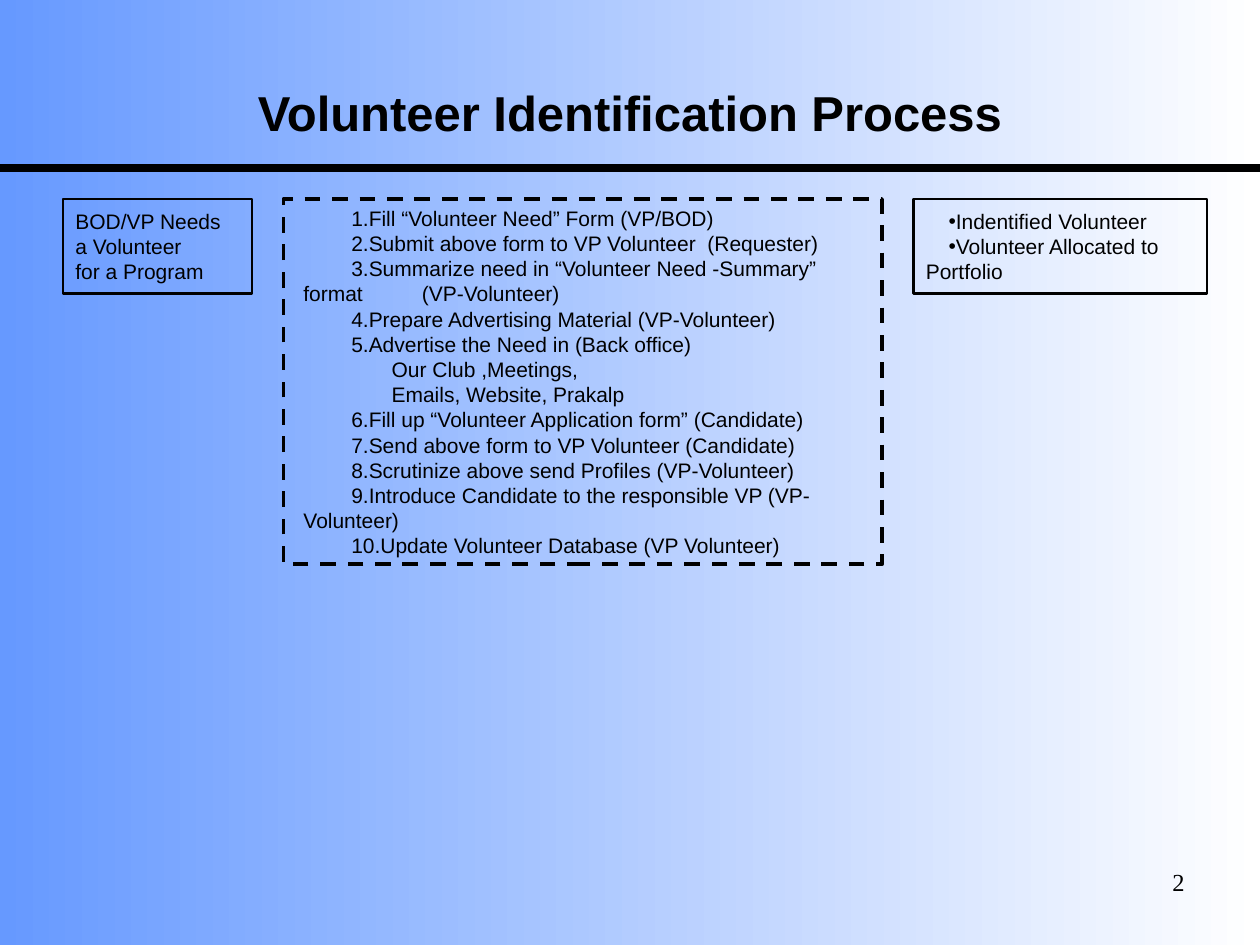
"""Build the Volunteer Identification Process slide."""
from lxml import etree
from pptx import Presentation
from pptx.dml.color import RGBColor
from pptx.enum.dml import MSO_LINE
from pptx.enum.shapes import MSO_CONNECTOR, MSO_SHAPE
from pptx.enum.text import MSO_ANCHOR, MSO_AUTO_SIZE, PP_ALIGN
from pptx.oxml.ns import qn
from pptx.util import Inches, Pt

DASH = MSO_LINE.DASH
TOP, MIDDLE = MSO_ANCHOR.TOP, MSO_ANCHOR.MIDDLE
CENTER, LEFT, RIGHT = PP_ALIGN.CENTER, PP_ALIGN.LEFT, PP_ALIGN.RIGHT
BLACK, WHITE, BLUE = "000000", "FFFFFF", "6699FF"

TITLE = "Volunteer Identification Process"
PAGE_NUMBER = "2"
NEED = [("plain", "BOD/VP Needs"), ("plain", "a Volunteer"), ("plain", "for a Program")]
RESULT = [("bullet", "Indentified Volunteer"), ("bullet", "Volunteer Allocated to"),
          ("plain", "Portfolio")]
STEPS = [
    ("number", "Fill “Volunteer Need” Form (VP/BOD)"),
    ("number", "Submit above form to VP Volunteer  (Requester)"),
    ("number", "Summarize need in “Volunteer Need -Summary” format \t(VP-Volunteer)"),
    ("number", "Prepare Advertising Material (VP-Volunteer)"),
    ("number", "Advertise the Need in (Back office)"),
    ("detail", "Our Club ,Meetings,"),
    ("detail", "Emails, Website, Prakalp"),
    ("number", "Fill up “Volunteer Application form” (Candidate)"),
    ("number", "Send above form to VP Volunteer (Candidate)"),
    ("number", "Scrutinize above send Profiles (VP-Volunteer)"),
    ("number", "Introduce Candidate to the responsible VP (VP-\tVolunteer)"),
    ("number", "Update Volunteer Database (VP Volunteer)"),
]
BOXES = [
    (NEED, (0.5, 1.58, 1.5, 0.75), 1.5, MIDDLE, False),
    (RESULT, (7.25, 1.58, 2.33, 0.75), 1.5, MIDDLE, False),
    (STEPS, (2.25, 1.58, 4.75, 2.9), 2.25, TOP, True),
]
STYLES = {
    "plain": (0, 0, 0, None, {}),
    "bullet": (0, 0, 0.18, "a:buChar", {"char": "•"}),
    "number": (0, 0.06, 0.38, "a:buAutoNum", {"type": "arabicPeriod"}),
    "detail": (1, 0.76, 0, None, {}),
}


def color(value):
    return RGBColor.from_string(value)


def format_paragraph(paragraph, size, font_name="Arial", bold=False, align=LEFT):
    paragraph.alignment = align
    for run in paragraph.runs:
        run.font.size = Pt(size)
        run.font.name = font_name
        run.font.bold = bold
        run.font.color.rgb = color(BLACK)


def style_list_item(paragraph, style):
    level, margin, indent, marker, attributes = STYLES[style]
    paragraph.level = level
    properties = paragraph._p.get_or_add_pPr()
    properties.set("marL", str(Inches(margin)))
    properties.set("indent", str(Inches(indent)))
    if marker:
        bullet_color = etree.SubElement(properties, qn("a:buClr"))
        etree.SubElement(bullet_color, qn("a:srgbClr"), val=BLACK)
        etree.SubElement(properties, qn("a:buFont"), typeface="Arial")
        etree.SubElement(properties, qn(marker), attributes)
    tabs = etree.SubElement(properties, qn("a:tabLst"))
    first_stop = [0.44] if style == "number" else []
    for position in first_stop + list(range(1, 8)):
        etree.SubElement(tabs, qn("a:tab"), pos=str(Inches(position)), algn="l")


def add_box(slide, items, area, line_width, anchor, is_process):
    box = slide.shapes.add_shape(MSO_SHAPE.RECTANGLE, *map(Inches, area))
    box.shadow.inherit = False
    box.fill.background()
    box.line.color.rgb = color(BLACK)
    box.line.width = Pt(line_width)
    frame = box.text_frame
    frame.word_wrap = is_process
    frame.vertical_anchor = anchor
    if is_process:
        box.line.dash_style = DASH
        frame.auto_size = MSO_AUTO_SIZE.SHAPE_TO_FIT_TEXT
    frame.text = "\n".join(text for _, text in items)
    for paragraph, (style, _) in zip(frame.paragraphs, items):
        style_list_item(paragraph, style)
        format_paragraph(paragraph, 12)


def add_rule(slide):
    rule = slide.shapes.add_connector(
        MSO_CONNECTOR.STRAIGHT, 0, Inches(1.33), Inches(10), Inches(1.33))
    rule.line.color.rgb = color(BLACK)
    rule.line.width = Pt(4.5)
    etree.SubElement(rule._element.spPr, qn("a:effectLst"))


def add_title(slide):
    title = slide.shapes.title
    title.left, title.top, title.width, title.height = map(Inches, (0.5, 0.58, 9, 0.62))
    title.text_frame.text = TITLE
    title.text_frame.vertical_anchor = MIDDLE
    format_paragraph(title.text_frame.paragraphs[0], 28, bold=True, align=CENTER)


def add_page_number(slide):
    number = slide.shapes.add_textbox(*map(Inches, (6.92, 6.83, 2.58, 0.52)))
    number.text_frame.word_wrap = True
    number.text_frame.text = PAGE_NUMBER
    format_paragraph(number.text_frame.paragraphs[0], 14, "Times New Roman", align=RIGHT)


def main():
    presentation = Presentation()
    presentation.slide_width, presentation.slide_height = Inches(10), Inches(7.5)
    slide = presentation.slides.add_slide(presentation.slide_layouts[5])
    background = slide.background.fill
    background.gradient()
    background.gradient_angle = 180
    for stop, position, value in zip(background.gradient_stops, (0, 1), (WHITE, BLUE)):
        stop.position = position
        stop.color.rgb = color(value)
    add_rule(slide)
    add_title(slide)
    for box in BOXES:
        add_box(slide, *box)
    add_page_number(slide)
    presentation.save("out.pptx")


if __name__ == "__main__":
    main()
